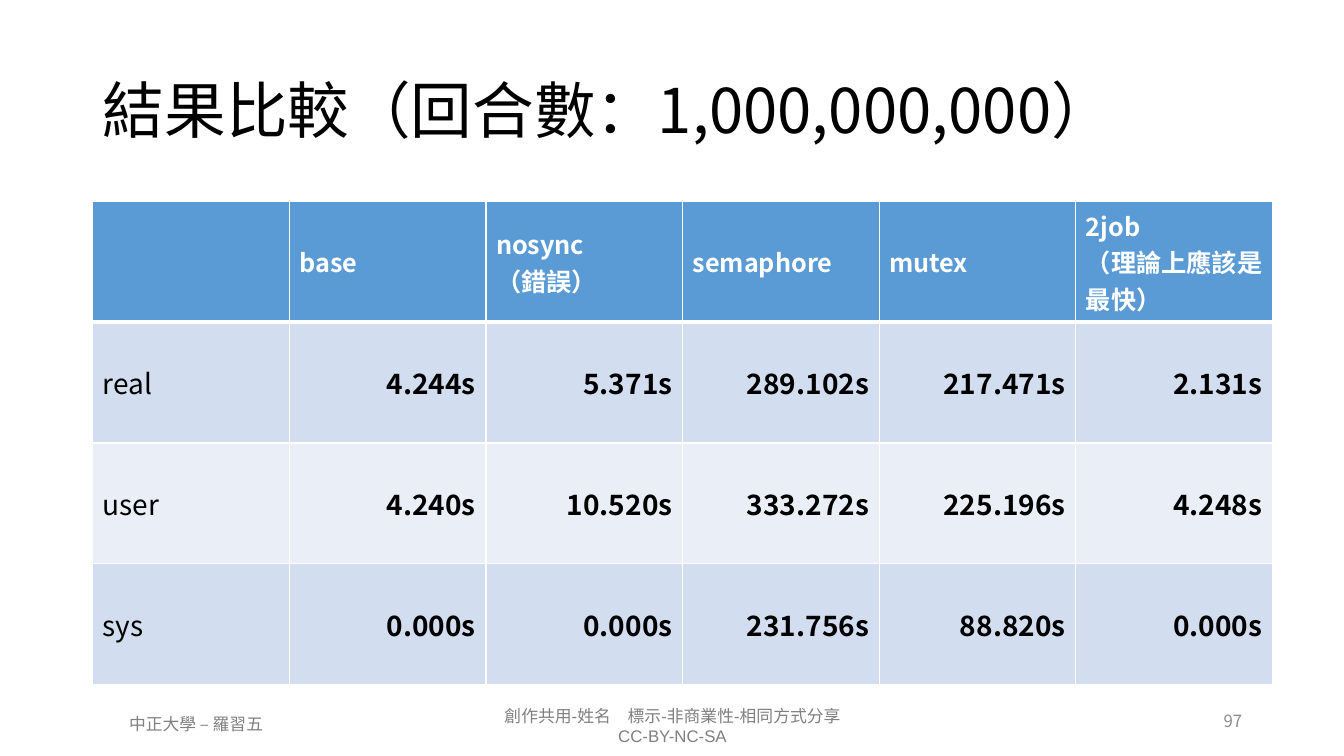
"""Build the slide comparing run times of the synchronisation methods."""
from lxml import etree
from pptx import Presentation
from pptx.dml.color import RGBColor
from pptx.enum import text
from pptx.oxml import ns
from pptx.util import Inches, Pt

TITLE = "結果比較（回合數：1,000,000,000）"
HEADER = ["", "base", "nosync\n（錯誤）", "semaphore", "mutex", "2job\n（理論上應該是最快）"]
TIMES = [
    ("real", "4.244s", "5.371s", "289.102s", "217.471s", "2.131s"),
    ("user", "4.240s", "10.520s", "333.272s", "225.196s", "4.248s"),
    ("sys", "0.000s", "0.000s", "231.756s", "88.820s", "0.000s"),
]
LEFT, CENTER, RIGHT = text.PP_ALIGN.LEFT, text.PP_ALIGN.CENTER, text.PP_ALIGN.RIGHT
TOP, MIDDLE = text.MSO_ANCHOR.TOP, text.MSO_ANCHOR.MIDDLE
FOOTERS = [
    ("創作共用-姓名　標示-非商業性-相同方式分享\nCC-BY-NC-SA", (4.21, 6.95, 4.92, 0.5), "license", CENTER, TOP),
    ("中正大學 – 羅習五", (0.69, 7.03, 2.51, 0.3), "license", CENTER, TOP),
    ("97", (9.42, 6.95, 3, 0.4), "number", RIGHT, MIDDLE),
]
SANS, ARIAL = "Noto Sans CJK TC", "Arial"
THEME = {
    "title": dict(name=SANS, size=Pt(44), bold=False, color="000000"),
    "header": dict(name=SANS, size=Pt(18), bold=True, color="FFFFFF"),
    "label": dict(name=SANS, size=Pt(20), bold=False, color="000000"),
    "value": dict(name=SANS, size=Pt(20), bold=True, color="000000"),
    "license": dict(name=ARIAL, size=Pt(12), bold=False, color="808080"),
    "number": dict(name=SANS, size=Pt(12), bold=False, color="8C8C8C"),
    "header_fill": "5B9BD5",
    "bands": ("D2DEEF", "EAEFF7"),
    "border": "FFFFFF",
}
TABLE_BOX = (0.92, 2, 11.7, 4.79)


def write(tf, words, style, align=LEFT):
    """Fill a text frame, one paragraph for each line."""
    for i, line in enumerate(words.split("\n")):
        p = tf.paragraphs[0] if i == 0 else tf.add_paragraph()
        p.alignment = align
        r = p.add_run()
        r.text = line
        for key, value in THEME[style].items():
            if key == "color":
                r.font.color.rgb = RGBColor.from_string(value)
            else:
                setattr(r.font, key, value)
        ea = etree.Element(ns.qn("a:ea"), typeface=SANS)
        r.font._element.find(ns.qn("a:latin")).addnext(ea)


def set_borders(cell, top, bottom):
    """Draw the four borders of a cell, widths in points."""
    tcPr = cell._tc.get_or_add_tcPr()
    for i, (side, width) in enumerate(zip("LRTB", (1, 1, top, bottom))):
        ln = etree.Element(ns.qn(f"a:ln{side}"), w=str(Pt(width)))
        fill = etree.SubElement(ln, ns.qn("a:solidFill"))
        etree.SubElement(fill, ns.qn("a:srgbClr"), val=THEME["border"])
        tcPr.insert(i, ln)


def add_title(s):
    """Place the title."""
    sp = s.shapes.title
    sp.left, sp.top, sp.width, sp.height = map(Inches, (0.92, 0.4, 11.5, 1.45))
    tf = sp.text_frame
    tf.auto_size, tf.vertical_anchor = text.MSO_AUTO_SIZE.NONE, MIDDLE
    write(tf, TITLE, "title")
    tf.paragraphs[0].line_spacing = 0.9


def add_times(s):
    """Place the table of run times."""
    rows = [HEADER, *TIMES]
    table = s.shapes.add_table(len(rows), len(HEADER), *map(Inches, TABLE_BOX)).table
    for i, row in enumerate(rows):
        fill = THEME["bands"][(i - 1) % 2] if i else THEME["header_fill"]
        for j, words in enumerate(row):
            cell = table.cell(i, j)
            cell.vertical_anchor = MIDDLE
            cell.fill.solid()
            cell.fill.fore_color.rgb = RGBColor.from_string(fill)
            set_borders(cell, 3 if i == 1 else 1, 3 if i == 0 else 1)
            style = "header" if i == 0 else "value" if j else "label"
            if words:
                write(cell.text_frame, words, style, RIGHT if style == "value" else LEFT)


def add_footers(s):
    """Place the footer texts and the page number."""
    for words, box, style, align, anchor in FOOTERS:
        tf = s.shapes.add_textbox(*map(Inches, box)).text_frame
        tf.word_wrap, tf.vertical_anchor = True, anchor
        write(tf, words, style, align)


def main():
    """Build and save the slide."""
    prs = Presentation()
    prs.slide_width, prs.slide_height = Inches(13.33), Inches(7.5)
    s = prs.slides.add_slide(prs.slide_layouts[5])
    add_title(s)
    add_times(s)
    add_footers(s)
    prs.save("out.pptx")


if __name__ == "__main__":
    main()
